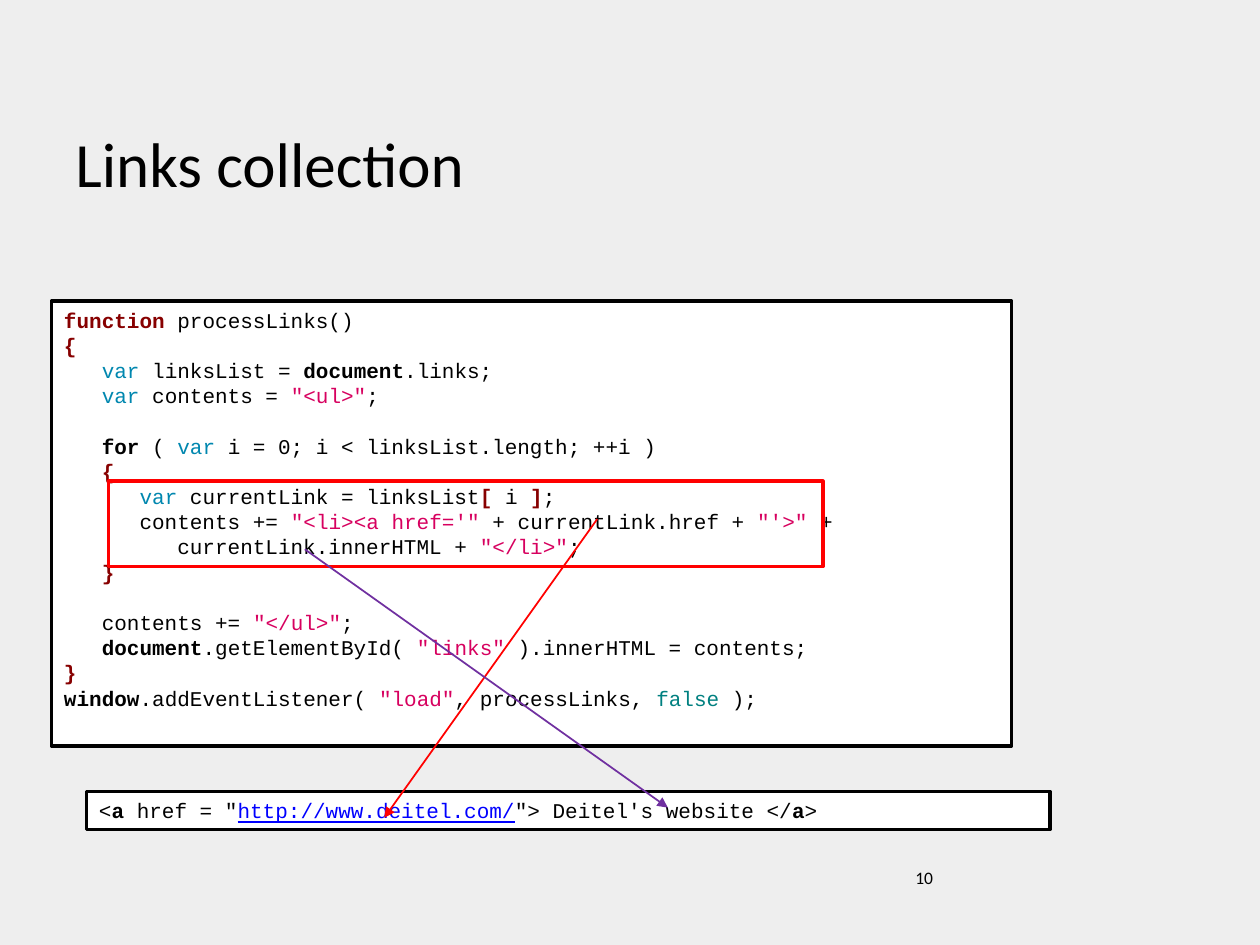
from pptx import Presentation
from pptx.dml.color import RGBColor
from pptx.enum.shapes import MSO_CONNECTOR as Connector, MSO_SHAPE as Preset
from pptx.enum.text import MSO_ANCHOR as Anchor, PP_ALIGN as Align
from pptx.oxml.ns import qn
from pptx.util import Pt
from lxml.etree import SubElement

BLACK = "000000"
RED = "FF0000"
PURPLE = "7030A0"
LINE_HEIGHT = 14.4

PLAIN = {}
BOLD = {"bold": True}
BRACE = {"bold": True, "color": "870000"}
KEYWORD = {"color": "0087AF"}
STRING = {"color": "D7005F"}
LITERAL = {"color": "008080"}
LINK = {"color": "0000FF", "underline": True}

FUNCTION_CODE = [
    [("function ", BRACE), ("processLinks()", PLAIN)],
    [("{", BRACE)],
    [("   ", PLAIN), ("var ", KEYWORD), ("linksList = ", PLAIN), ("document", BOLD), (".links;", PLAIN)],
    [("   ", PLAIN), ("var", KEYWORD), (" contents = ", PLAIN), ('"<ul>"', STRING), (";", PLAIN)],
    [],
    [("   ", PLAIN), ("for", BOLD), (" ( ", PLAIN), ("var ", KEYWORD),
     ("i = 0; i < linksList.length; ++i )", PLAIN)],
    [("   ", PLAIN), ("{", BRACE)],
    [("      ", PLAIN), ("var ", KEYWORD), ("currentLink = linksList", PLAIN), ("[ ", BRACE),
     ("i ", PLAIN), ("]", BRACE), (";", PLAIN)],
    [("      contents += ", PLAIN), ('"<li><a href=\'"', STRING), (" + currentLink.href + ", PLAIN),
     ('"\'>"', STRING), (" +", PLAIN)],
    [("         currentLink.innerHTML + ", PLAIN), ('"</li>"', STRING), (";", PLAIN)],
    [("   ", PLAIN), ("}", BRACE)],
    [],
    [("   contents += ", PLAIN), ('"</ul>"', STRING), (";", PLAIN)],
    [("   ", PLAIN), ("document", BOLD), (".getElementById( ", PLAIN), ('"links"', STRING),
     (" ).innerHTML = contents;", PLAIN)],
    [("}", BRACE)],
    [("window", BOLD), (".addEventListener( ", PLAIN), ('"load"', STRING), (", processLinks, ", PLAIN),
     ("false", LITERAL), (" );", PLAIN)],
]
ANCHOR_CODE = [
    [("<", PLAIN), ("a ", BOLD), ('href = "', PLAIN), ("http://www.deitel.com/", LINK),
     ("\"> Deitel's website </", PLAIN), ("a", BOLD), (">", PLAIN)],
]


def rgb(color):
    return RGBColor.from_string(color)


def add_run(paragraph, text, font="Courier New", size=12, color=BLACK, bold=False, underline=False):
    run = paragraph.add_run()
    run.text = text
    run.font.name = font
    run.font.size = Pt(size)
    run.font.color.rgb = rgb(color)
    run.font.bold = bold
    run.font.underline = underline


def add_label(slide, box, text, size, anchor=Anchor.TOP):
    frame = slide.shapes.add_textbox(*map(Pt, box)).text_frame
    frame.word_wrap = True
    frame.vertical_anchor = anchor
    add_run(frame.paragraphs[0], text, font="Calibri", size=size)


def add_frame(slide, box, line, fill=None):
    shape = slide.shapes.add_shape(Preset.RECTANGLE, *map(Pt, box))
    shape.shadow.inherit = False
    shape.line.color.rgb = rgb(line)
    shape.line.width = Pt(2)
    if fill:
        shape.fill.solid()
        shape.fill.fore_color.rgb = rgb(fill)
    else:
        shape.fill.background()
    return shape


def add_code(slide, box, lines):
    frame = add_frame(slide, box, BLACK, "FFFFFF").text_frame
    frame.word_wrap = True
    frame.vertical_anchor = Anchor.TOP
    paragraph = frame.paragraphs[0]
    gap = 0
    for index, line in enumerate(lines):
        if not line:
            gap += LINE_HEIGHT
            continue
        if index:
            paragraph = frame.add_paragraph()
        paragraph.alignment = Align.LEFT
        paragraph.line_spacing = Pt(LINE_HEIGHT)
        paragraph.space_before = Pt(gap)
        gap = 0
        for text, style in line:
            add_run(paragraph, text, **style)


def add_arrow(slide, start, end, color):
    connector = slide.shapes.add_connector(Connector.STRAIGHT, *map(Pt, start + end))
    connector.line.color.rgb = rgb(color)
    connector.line.width = Pt(1)
    SubElement(connector.line._get_or_add_ln(), qn("a:tailEnd"), type="triangle")
    SubElement(connector._element.spPr, qn("a:effectLst"))


def build_links_slide(presentation):
    slide = presentation.slides.add_slide(presentation.slide_layouts[6])
    slide.background.fill.solid()
    slide.background.fill.fore_color.rgb = rgb("EEEEEE")

    add_label(slide, (36, 28, 648, 90), "Links collection", 36, Anchor.BOTTOM)
    add_code(slide, (29.5, 172, 548.5, 254.3), FUNCTION_CODE)
    add_label(slide, (516, 492, 168, 37.5), "10", 10)
    add_frame(slide, (62, 275, 408.3, 48.8), RED)
    add_code(slide, (49.5, 452.3, 550.5, 21.8), ANCHOR_CODE)
    add_arrow(slide, (341.3, 296.6), (219.6, 467.3), RED)
    add_arrow(slide, (174.2, 313.9), (381.6, 461.5), PURPLE)


def main():
    presentation = Presentation()
    presentation.slide_width = Pt(720)
    presentation.slide_height = Pt(540)
    build_links_slide(presentation)
    presentation.save("out.pptx")


if __name__ == "__main__":
    main()
